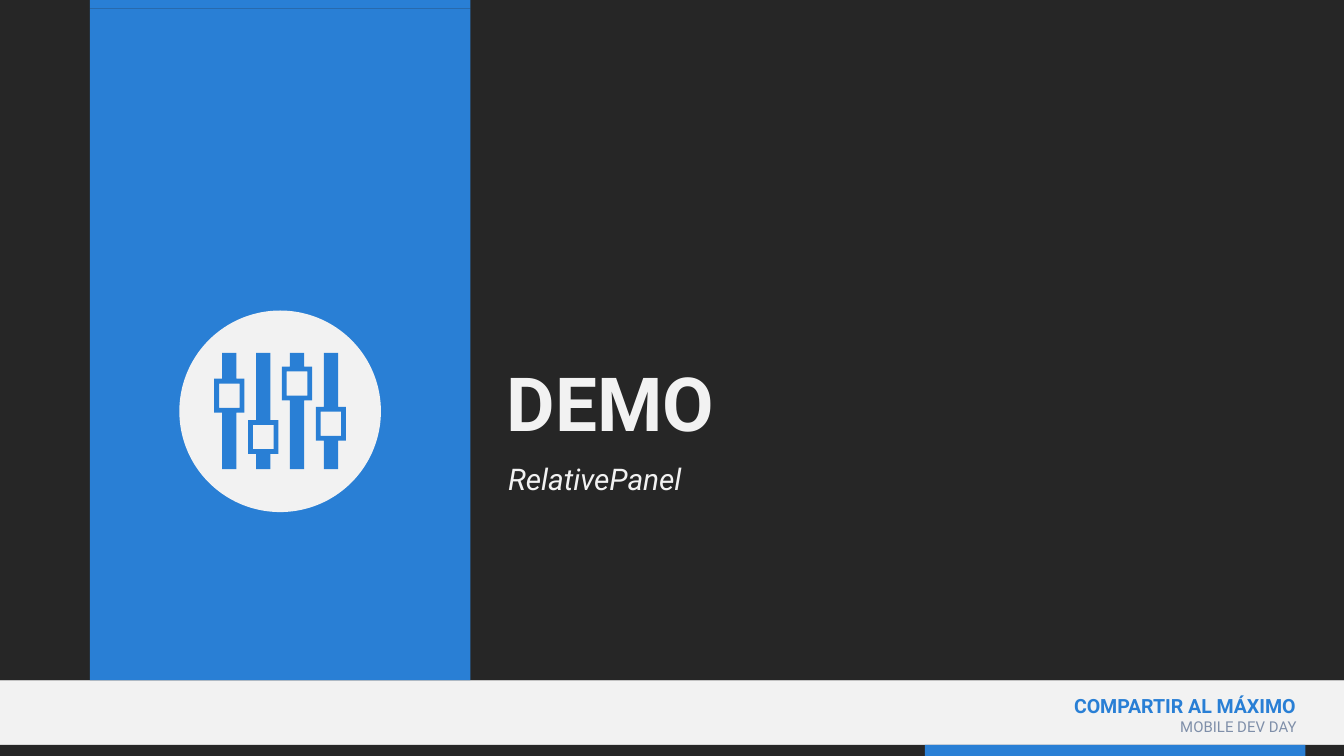
from pptx import Presentation
from pptx.dml.color import RGBColor
from pptx.enum.shapes import MSO_CONNECTOR as Link, MSO_SHAPE as Kind
from pptx.enum.text import MSO_ANCHOR as Anchor, PP_ALIGN as Align
from pptx.oxml.ns import qn
from pptx.util import Cm, Pt
from lxml.etree import SubElement

DARK, BLUE, PALE = "262626", "297FD5", "F2F2F2"
GRAY, SLATE = "D9D9D9", "7F8FA9"
WIDE, HIGH = 25.4, 14.29
BAND, LEFT = 7.19, 1.7


def paint(color, code):
    color.rgb = RGBColor.from_string(code)


class Deck:
    font = "Roboto"

    def __init__(self):
        self.show = Presentation()
        self.show.slide_width, self.show.slide_height = Cm(WIDE), Cm(HIGH)
        self.slide = self.show.slides.add_slide(self.show.slide_layouts[0])
        self.shapes = self.slide.shapes
        self.fill(self.slide.background, PALE)

    def fill(self, item, code):
        item.fill.solid()
        paint(item.fill.fore_color, code)

    def finish(self, shape, code):
        self.fill(shape, code)
        shape.line.fill.background()
        shape.shadow.inherit = False
        return shape

    def place(self, shape, box):
        shape.left, shape.top, shape.width, shape.height = map(Cm, box)

    def shape(self, box, code, kind=Kind.RECTANGLE):
        return self.finish(self.shapes.add_shape(kind, *map(Cm, box)), code)

    def rule(self, top, code):
        line = self.shapes.add_connector(Link.STRAIGHT, 0, Cm(top), Cm(WIDE), Cm(top))
        line.line.width = Pt(0.75)
        paint(line.line.color, code)
        SubElement(line._element.spPr, qn("a:effectLst"))

    def words(self, item, text, size, code, align, anchor, bold=False, slant=False):
        frame = item.text_frame
        frame.text = text
        frame.word_wrap = True
        frame.vertical_anchor = anchor
        para = frame.paragraphs[0]
        para.alignment = align
        para.space_before = Pt(0)
        font = para.runs[0].font
        font.name, font.size = self.font, Pt(size)
        font.bold, font.italic = bold, slant
        paint(font.color, code)
        return para

    def label(self, box, text, size, code, bold=False):
        item = self.shapes.add_textbox(*map(Cm, box))
        self.words(item, text, size, code, Align.RIGHT, Anchor.TOP, bold)

    def holder(self, index, box, text, size, anchor, **style):
        item = self.slide.placeholders[index]
        self.place(item, box)
        self.shapes._spTree.append(item._element)
        return self.words(item, text, size, PALE, Align.LEFT, anchor, **style)

    def slider(self, left, top, drop):
        a, b, c, d = left, left + 0.15, left + 0.42, left + 0.57
        low, knob = top + 2.2, top + drop
        foot, edge = knob + 0.64, 0.09
        outer = [(b, top), (c, top), (c, knob), (d, knob), (d, foot), (c, foot),
                 (c, low), (b, low), (b, foot), (a, foot), (a, knob), (b, knob)]
        hole = [(a + edge, knob + edge), (a + edge, foot - edge),
                (d - edge, foot - edge), (d - edge, knob + edge)]
        outer, hole = [[(Cm(x), Cm(y)) for x, y in ring] for ring in (outer, hole)]
        pen = self.shapes.build_freeform(*outer[0])
        pen.add_line_segments(outer[1:], close=True)
        pen.move_to(*hole[0])
        pen.add_line_segments(hole[1:], close=True)
        return self.finish(pen.convert_to_shape(), BLUE)

    def save(self):
        self.show.save("out.pptx")


def main():
    deck = Deck()
    deck.shape((0, 0, WIDE, 0.25), DARK)
    deck.shape((LEFT, 0, BAND, 0.25), BLUE)
    deck.label((17.15, 13, 7.59, 1.02), "COMPARTIR AL MÁXIMO", 10.5, BLUE, True)
    deck.label((20.16, 13.44, 4.6, 0.79), "MOBILE DEV DAY", 8, SLATE)
    deck.shape((0, 14.08, WIDE, 0.21), DARK)
    deck.shape((17.48, 14.08, BAND, 0.21), BLUE)
    deck.rule(12.86, GRAY)
    deck.shape((0, 0.16, WIDE, 12.7), DARK)
    deck.shape((LEFT, 0.16, BAND, 12.7), BLUE)
    title = deck.holder(0, (9.32, 6.81, 16.08, 1.4), "DEMO", 40, Anchor.TOP, bold=True)
    title.line_spacing = 0.9
    deck.holder(1, (9.35, 8.2, 16.05, 1.7), "RelativePanel", 16, Anchor.MIDDLE, slant=True)
    icon = [deck.shape((3.39, 5.87, 3.81, 3.81), PALE, Kind.OVAL)]
    for step, drop in enumerate((0.49, 1.27, 0.26, 1.02)):
        icon.append(deck.slider(4.05 + 0.64 * step, 6.67, drop))
    deck.shapes.add_group_shape(icon)
    deck.save()


if __name__ == "__main__":
    main()
